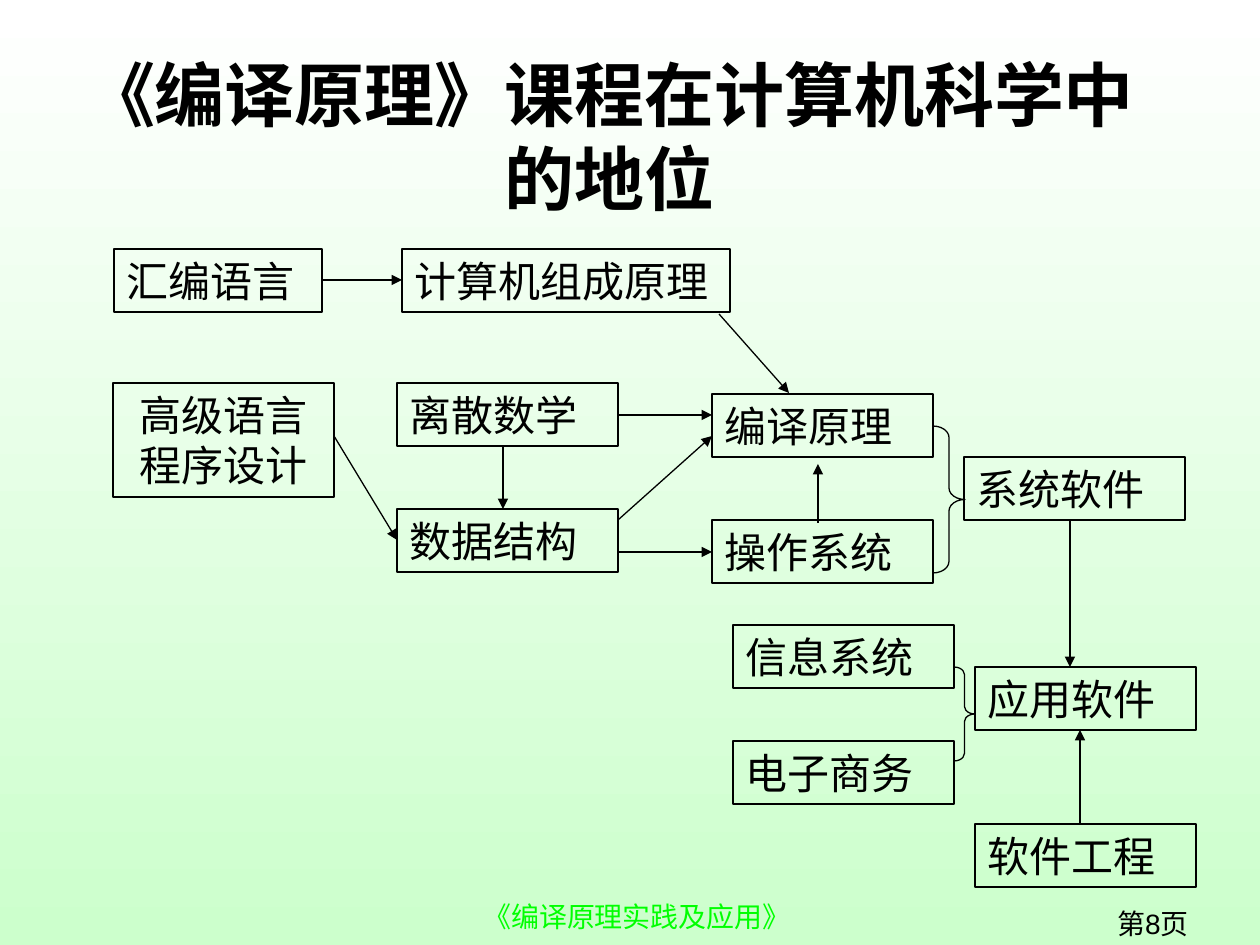
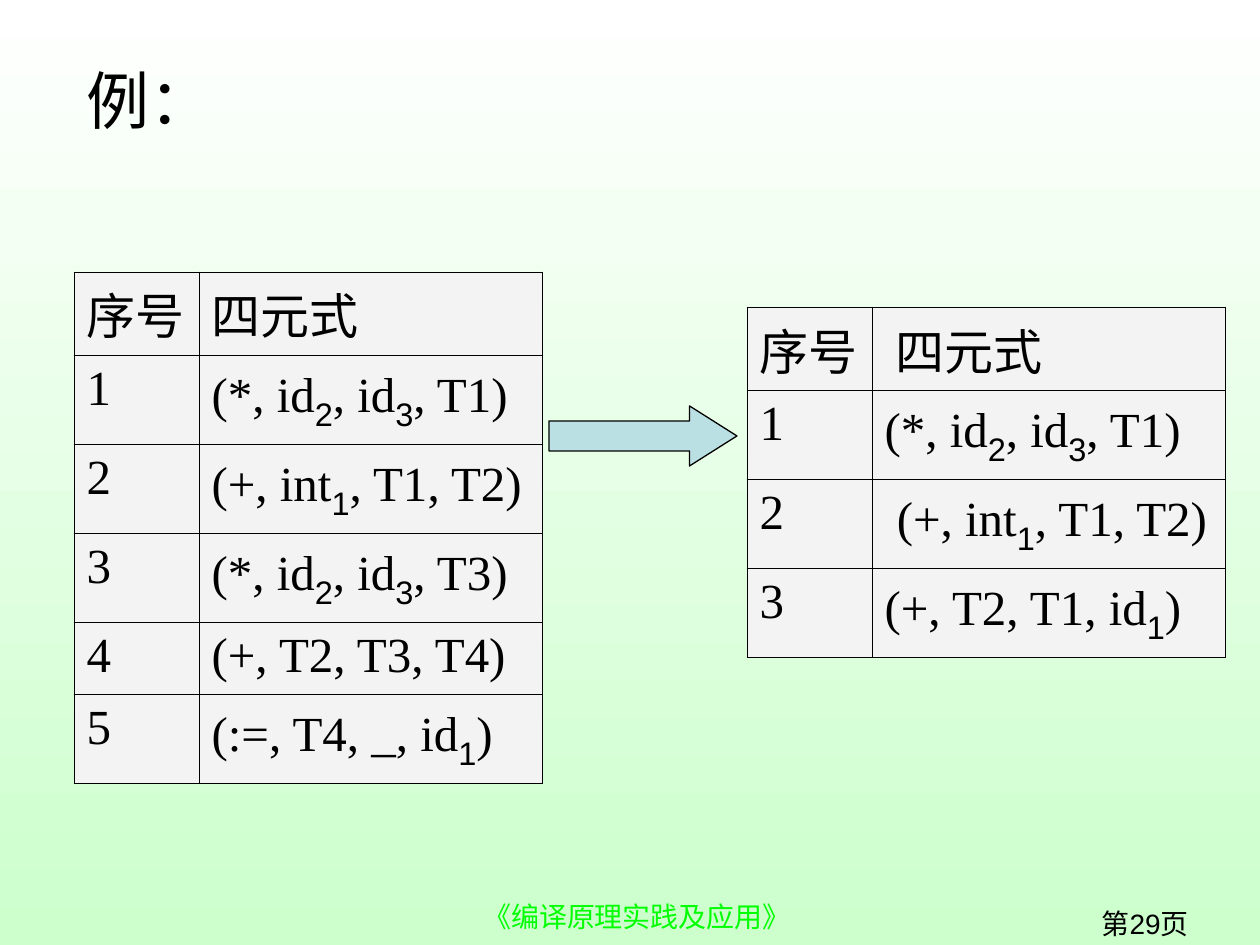
from dataclasses import dataclass

from lxml import etree
from pptx import Presentation
from pptx.dml.color import RGBColor
from pptx.enum.shapes import MSO_CONNECTOR, MSO_SHAPE
from pptx.enum.text import MSO_ANCHOR, MSO_AUTO_SIZE, PP_ALIGN
from pptx.oxml.ns import qn
from pptx.util import Emu, Pt

RECTANGLE, BRACE, BLOCK_ARROW = MSO_SHAPE.RECTANGLE, MSO_SHAPE.RIGHT_BRACE, MSO_SHAPE.RIGHT_ARROW
STRAIGHT = MSO_CONNECTOR.STRAIGHT
TOP, MIDDLE = MSO_ANCHOR.TOP, MSO_ANCHOR.MIDDLE
LEFT, CENTER, RIGHT = PP_ALIGN.LEFT, PP_ALIGN.CENTER, PP_ALIGN.RIGHT
NO_AUTOFIT = MSO_AUTO_SIZE.NONE

PX_PER_INCH = 126
TITLE_ONLY = 5


@dataclass(frozen=True)
class Theme:
    ink: RGBColor = RGBColor(0, 0, 0)
    sky: RGBColor = RGBColor(0xFF, 0xFF, 0xFF)
    mint: RGBColor = RGBColor(0xCC, 0xFF, 0xCC)
    footer: RGBColor = RGBColor(0, 0xFF, 0)
    cell: RGBColor = RGBColor(0xF3, 0xF3, 0xF3)
    arrow: RGBColor = RGBColor(0xBB, 0xE0, 0xE3)
    sans: str = "Arial"
    serif: str = "Times New Roman"
    heading_size: int = 40
    example_size: int = 36
    subscript_size: int = 32
    table_size: int = 28
    node_size: int = 24
    footer_size: int = 16
    thin: float = 0.75
    thick: float = 1.5
    grid: float = 0.45


THEME = Theme()

# Course map: left, top, width, height of each node, relative to the map
NODE_W, NODE_H = 221, 63
HARDWARE_COURSES = {
    "汇编语言": (1, 0, 208, NODE_H),
    "计算机组成原理": (289, 0, 328, NODE_H),
}
SOFTWARE_COURSES = {
    "高级语言程序设计": (0, 134, NODE_W, 114),
    "离散数学": (284, 134, NODE_W, NODE_H),
    "数据结构": (284, 260, NODE_W, NODE_H),
    "编译原理": (599, 145, NODE_W, NODE_H),
    "操作系统": (599, 271, NODE_W, NODE_H),
    "系统软件": (851, 208, NODE_W, NODE_H),
    "应用软件": (862, 418, NODE_W, NODE_H),
    "软件工程": (862, 575, NODE_W, NODE_H),
    "信息系统": (620, 376, NODE_W, NODE_H),
    "电子商务": (620, 492, NODE_W, NODE_H),
}
# Each end of a dependency: course and offset from its top left corner
DEPENDENCIES = [
    ("高级语言程序设计", 221, 53, "数据结构", 0, 31),
    ("离散数学", 106, 63, "数据结构", 106, 0),
    ("数据结构", 221, 11, "编译原理", 0, 42),
    ("离散数学", 221, 32, "编译原理", 0, 21),
    ("数据结构", 221, 43, "操作系统", 0, 32),
    ("系统软件", 106, 63, "应用软件", 95, 0),
    ("软件工程", 105, 0, "应用软件", 105, 63),
    ("操作系统", 106, 3, "编译原理", 106, 70),
    ("汇编语言", 208, 31, "计算机组成原理", 0, 31),
    ("计算机组成原理", 317, 65, "编译原理", 77, -1),
]
GROUPINGS = [(820, 177, 32, 147), (841, 418, 21, 94)]

# Quadruples: text between bars is set as a subscript
BEFORE = ["四元式", "(*, id|2|, id|3|, T1)", "(+, int|1|, T1, T2)",
          "(*, id|2|, id|3|, T3)", "(+, T2, T3, T4)", "(:=, T4, _, id|1|)"]
AFTER = [" 四元式", "(*, id|2|, id|3|, T1)", " (+, int|1|, T1, T2)", "(+, T2, T1, id|1|)"]


def px(length):
    return Emu(round(length * 914400 / PX_PER_INCH))


def place(box):
    return [px(length) for length in box]


def set_font(font, name, size, color=THEME.ink, bold=False):
    font.name, font.size, font.bold = name, Pt(size), bold
    font.color.rgb = color


def write(shape, text, name, size, color=THEME.ink, align=LEFT, anchor=TOP, bold=False):
    frame = shape.text_frame
    frame.word_wrap = True
    frame.auto_size = NO_AUTOFIT
    frame.vertical_anchor = anchor
    frame.text = text
    paragraph = frame.paragraphs[0]
    paragraph.alignment = align
    set_font(paragraph.font, name, size, color, bold)


def add_outline(slide, kind, box, width, fill=None):
    shape = slide.shapes.add_shape(kind, *place(box))
    shape.shadow.inherit = False
    shape.line.color.rgb = THEME.ink
    shape.line.width = Pt(width)
    if fill is None:
        shape.fill.background()
    else:
        shape.fill.solid()
        shape.fill.fore_color.rgb = fill
    return shape


def add_arrow(slide, start, end):
    arrow = slide.shapes.add_connector(STRAIGHT, *place(start + end))
    arrow.line.color.rgb = THEME.ink
    arrow.line.width = Pt(THEME.thin)
    properties = arrow._element.spPr
    etree.SubElement(properties.find(qn("a:ln")), qn("a:tailEnd"), type="triangle")
    etree.SubElement(properties, qn("a:effectLst"))


def paint_background(master):
    fill = master.background.fill
    fill.gradient()
    fill.gradient_angle = 270
    for stop, color in zip(fill.gradient_stops, (THEME.sky, THEME.mint)):
        stop.color.rgb = color


def add_page(prs, page_number, title, title_box, size, align, bold=False):
    slide = prs.slides.add_slide(prs.slide_layouts[TITLE_ONLY])
    heading = slide.shapes.title
    heading.left, heading.top, heading.width, heading.height = place(title_box)
    write(heading, title, THEME.sans, size, align=align, anchor=MIDDLE, bold=bold)

    # Footer: course name and page number
    course = slide.shapes.add_textbox(*place((471, 893, 338, 55)))
    write(course, "《编译原理实践及应用》", THEME.sans, THEME.footer_size, THEME.footer)
    page = slide.shapes.add_textbox(*place((907, 900, 294, 35)))
    write(page, f"第{page_number}页", THEME.sans, THEME.footer_size, align=RIGHT)
    return slide


def add_course_map(slide, left, top):
    # Courses
    for courses, font, width in ((HARDWARE_COURSES, THEME.sans, THEME.thin),
                                 (SOFTWARE_COURSES, THEME.serif, THEME.thick)):
        for course, (x, y, w, h) in courses.items():
            node = add_outline(slide, RECTANGLE, (left + x, top + y, w, h), width)
            align = LEFT if h == NODE_H else CENTER
            write(node, course, font, THEME.node_size, align=align)

    # Dependencies
    nodes = HARDWARE_COURSES | SOFTWARE_COURSES

    def point(course, dx, dy):
        x, y, _, _ = nodes[course]
        return left + x + dx, top + y + dy

    for dependency in DEPENDENCIES:
        add_arrow(slide, point(*dependency[:3]), point(*dependency[3:]))

    # Braces that gather courses into a field
    for x, y, w, h in GROUPINGS:
        brace = add_outline(slide, BRACE, (left + x, top + y, w, h), THEME.thin)
        brace.adjustments[0] = 0.36


def style_cell(cell):
    properties = cell._tc.get_or_add_tcPr()
    for side in ("a:lnL", "a:lnR", "a:lnT", "a:lnB"):
        border = etree.SubElement(properties, qn(side), w=str(Pt(THEME.grid)))
        paint = etree.SubElement(border, qn("a:solidFill"))
        etree.SubElement(paint, qn("a:srgbClr"), val=str(THEME.ink))
    cell.fill.solid()
    cell.fill.fore_color.rgb = THEME.cell


def write_quadruple(cell, text):
    paragraph = cell.text_frame.paragraphs[0]
    for index, part in enumerate(text.split("|")):
        run = paragraph.add_run()
        run.text = part
        if index % 2:
            set_font(run.font, THEME.sans, THEME.subscript_size)
            run._r.get_or_add_rPr().set("baseline", "-25000")
        else:
            set_font(run.font, THEME.serif, THEME.table_size)


def add_quadruples(slide, left, top, column_widths, quadruples):
    heights = [89 if "|" in text else 72 for text in quadruples]
    box = (left, top, sum(column_widths), sum(heights))
    table = slide.shapes.add_table(len(quadruples), 2, *place(box)).table
    table.first_row = table.horz_banding = False
    for column, width in zip(table.columns, column_widths):
        column.width = px(width)
    for index, (row, text) in enumerate(zip(table.rows, quadruples)):
        row.height = px(heights[index])
        for cell, content in zip(row.cells, (str(index) if index else "序号", text)):
            style_cell(cell)
            write_quadruple(cell, content)


def build_course_slide(prs):
    slide = add_page(prs, 8, "《编译原理》课程在计算机科学中的地位", (64, 45, 1091, 182),
                     THEME.heading_size, CENTER, bold=True)
    add_course_map(slide, 113, 249)


def build_example_slide(prs):
    slide = add_page(prs, 29, "例：", (74, 55, 655, 88), THEME.example_size, LEFT)
    add_quadruples(slide, 74, 272, (125, 343), BEFORE)
    add_quadruples(slide, 747, 307, (125, 353), AFTER)

    # Optimisation step between the two tables
    step = add_outline(slide, BLOCK_ARROW, (549, 406, 188, 60), THEME.thin, THEME.arrow)
    step.adjustments[1] = 0.79


def main():
    prs = Presentation()
    prs.slide_width, prs.slide_height = px(1260), px(945)
    paint_background(prs.slide_master)
    build_course_slide(prs)
    build_example_slide(prs)
    prs.save("out.pptx")


if __name__ == "__main__":
    main()
